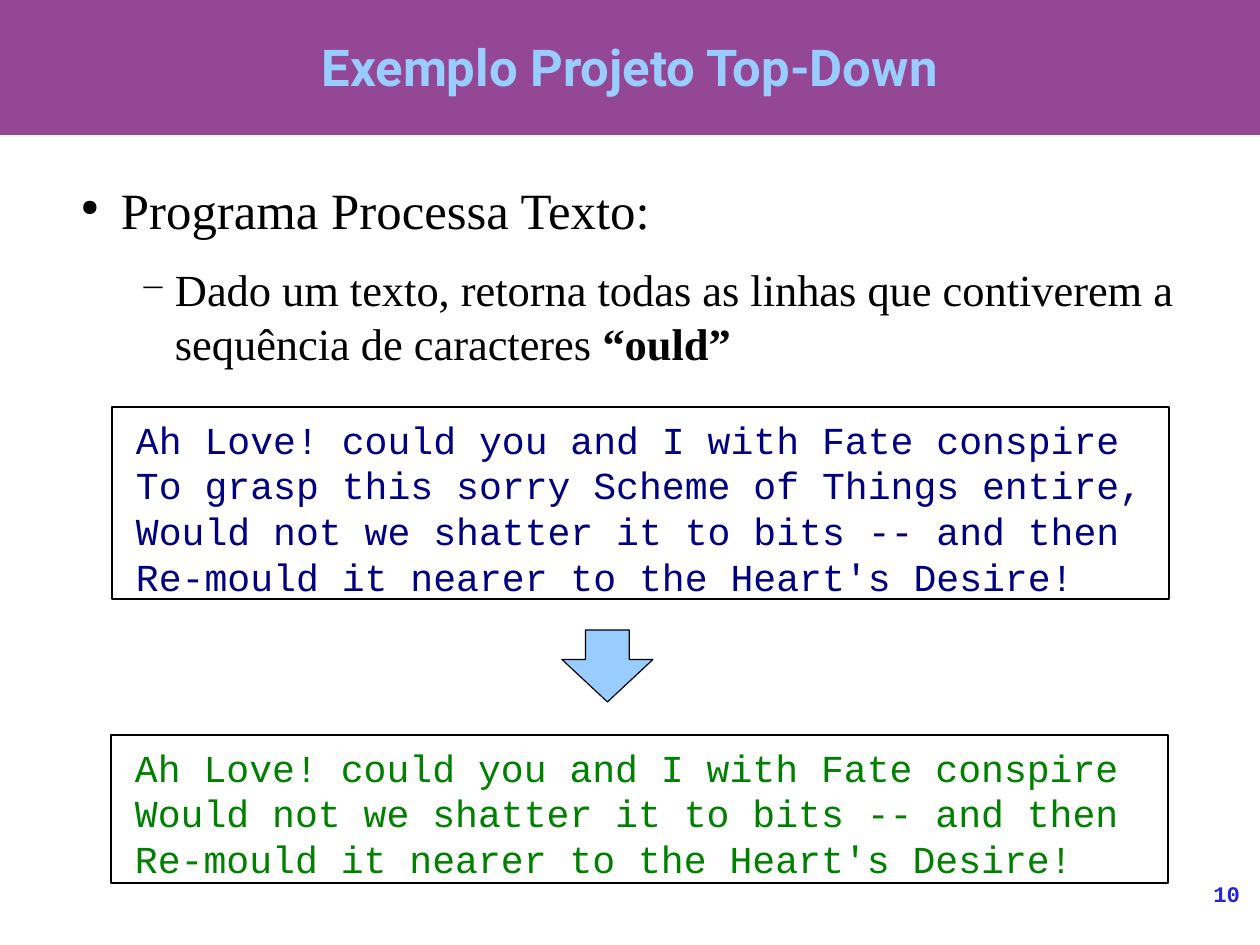
from lxml.etree import SubElement
from pptx import Presentation
from pptx.dml.color import RGBColor
from pptx.enum.shapes import MSO_SHAPE as Shape
from pptx.enum.text import MSO_ANCHOR as Anchor, PP_ALIGN as Align
from pptx.oxml.ns import qn
from pptx.util import Emu, Pt

PX = 8000
COLORS = {
    "banner": "944794",
    "sky": "99CCFF",
    "black": "000000",
    "white": "FFFFFF",
    "input": "000080",
    "output": "008000",
    "number": "2323DC",
}
POEM = [
    "Ah Love! could you and I with Fate conspire",
    "To grasp this sorry Scheme of Things entire,",
    "Would not we shatter it to bits -- and then",
    "Re-mould it nearer to the Heart's Desire!",
]


def px(length):
    """Turn pixels into EMU."""
    return Emu(length * PX)


def rgb(name):
    """Look up a named colour."""
    return RGBColor.from_string(COLORS[name])


def add_run(paragraph, text, font, size, color, bold=False):
    """Append one styled run."""
    run = paragraph.add_run()
    run.text = text
    run.font.name = font
    run.font.size = Pt(size)
    run.font.bold = bold
    run.font.color.rgb = rgb(color)


def set_frame(frame, side=0, top=0, anchor=Anchor.TOP):
    """Set wrapping, insets and anchor of a text frame."""
    frame.word_wrap = True
    frame.margin_left = frame.margin_right = px(side)
    frame.margin_top = frame.margin_bottom = px(top)
    frame.vertical_anchor = anchor


def add_text(slide, box, align=Align.LEFT, anchor=Anchor.TOP):
    """Add an empty text box and return its frame."""
    frame = slide.shapes.add_textbox(*map(px, box)).text_frame
    set_frame(frame, anchor=anchor)
    frame.paragraphs[0].alignment = align
    return frame


def add_figure(slide, kind, box, fill, line_width=None):
    """Add a filled preset shape, outlined in black if a width is given."""
    figure = slide.shapes.add_shape(kind, *map(px, box))
    figure.shadow.inherit = False
    figure.fill.solid()
    figure.fill.fore_color.rgb = rgb(fill)
    if line_width is None:
        figure.line.fill.background()
    else:
        figure.line.color.rgb = rgb("black")
        figure.line.width = Pt(line_width)
    return figure


def add_bullet(paragraph, char, percent, left, hang, after):
    """Give a paragraph a hanging bullet and space after it."""
    paragraph.space_after = Pt(after)
    props = paragraph._p.get_or_add_pPr()
    props.set("marL", str(px(left)))
    props.set("indent", str(px(-hang)))
    color = SubElement(props, qn("a:buClr"))
    SubElement(color, qn("a:srgbClr"), val=COLORS["black"])
    SubElement(props, qn("a:buSzPct"), val=str(percent * 1000))
    SubElement(props, qn("a:buChar"), char=char)


def add_verse(slide, box, lines, color):
    """Add a framed block of verse lines."""
    frame = add_figure(slide, Shape.RECTANGLE, box, "white", 1.7).text_frame
    set_frame(frame, side=24, top=9)
    for index, line in enumerate(lines):
        paragraph = frame.add_paragraph() if index else frame.paragraphs[0]
        paragraph.alignment = Align.LEFT
        add_run(paragraph, line, "Courier New", 24, color)


def add_description(slide):
    """Add the bulleted description of the program."""
    frame = add_text(slide, (67, 179, 1134, 200))
    topic = frame.paragraphs[0]
    add_bullet(topic, "●", 45, 54, 40, 14.2)
    add_run(topic, "Programa Processa Texto:", "Times New Roman", 32, "black")
    task = frame.add_paragraph()
    task.level = 1
    add_bullet(task, "−", 75, 108, 35, 11.3)
    sentence = "Dado um texto, retorna todas as linhas que contiverem a sequência de caracteres "
    add_run(task, sentence, "Times New Roman", 28, "black")
    add_run(task, "“ould”", "Times New Roman", 28, "black", bold=True)


def main():
    """Build and save the slide."""
    deck = Presentation()
    deck.slide_width, deck.slide_height = px(1260), px(945)
    slide = deck.slides.add_slide(deck.slide_layouts[6])

    add_figure(slide, Shape.RECTANGLE, (0, -1, 1260, 136), "banner")
    title = add_text(slide, (63, -1, 1134, 135), Align.CENTER, Anchor.MIDDLE)
    add_run(title.paragraphs[0], "Exemplo Projeto Top-Down", "Roboto", 32, "sky", bold=True)

    add_description(slide)
    add_verse(slide, (112, 407, 1057, 192), POEM, "input")
    arrow = add_figure(slide, Shape.DOWN_ARROW, (562, 630, 91, 72), "sky", 0)
    arrow.adjustments[0] = 0.48
    arrow.adjustments[1] = 0.59
    matches = [line for line in POEM if "ould" in line]
    add_verse(slide, (111, 735, 1057, 148), matches, "output")

    number = add_text(slide, (1048, 880, 192, 65), Align.RIGHT)
    add_run(number.paragraphs[0], "10", "Courier New", 14, "number", bold=True)
    deck.save("out.pptx")


if __name__ == "__main__":
    main()
